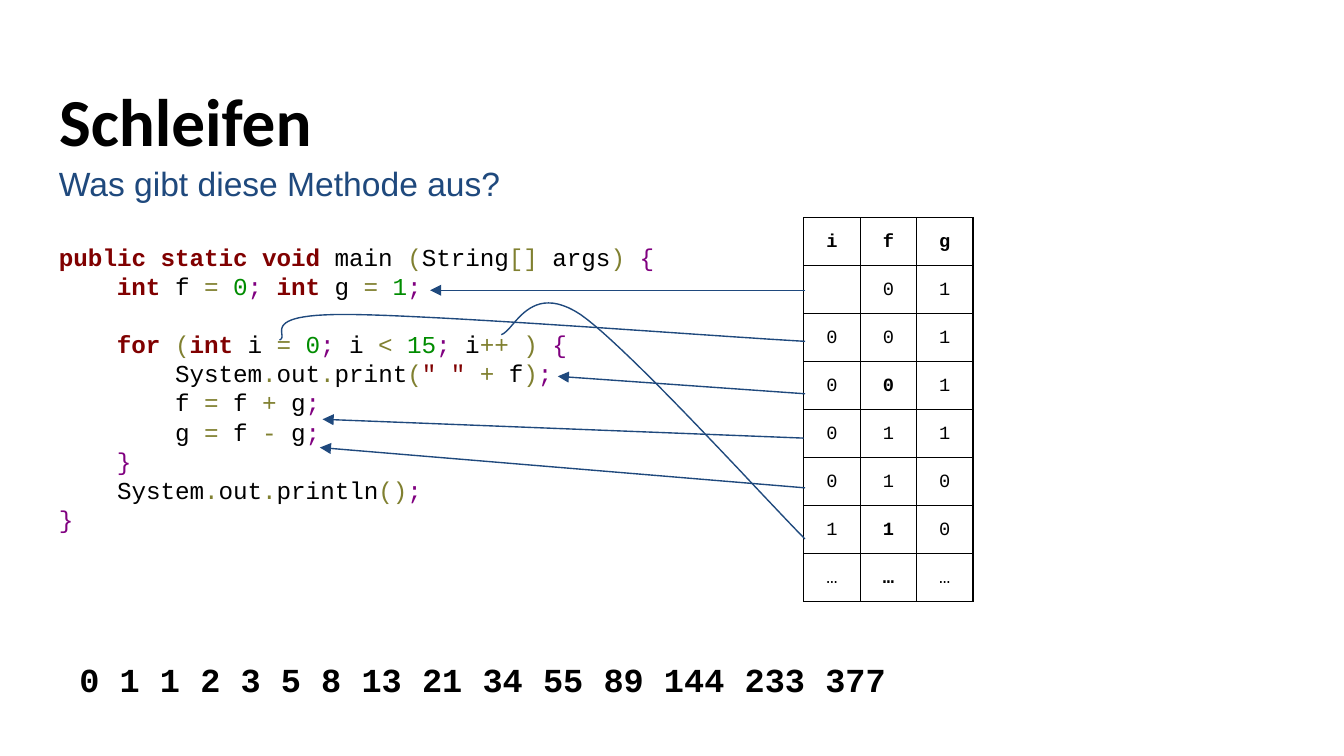
from itertools import groupby

from lxml import etree
from pptx import Presentation
from pptx.dml.color import RGBColor
from pptx.enum.shapes import MSO_CONNECTOR
from pptx.enum.text import MSO_ANCHOR, PP_ALIGN
from pptx.oxml.ns import qn
from pptx.util import Inches, Pt

STRAIGHT = MSO_CONNECTOR.STRAIGHT
TOP, MIDDLE = MSO_ANCHOR.TOP, MSO_ANCHOR.MIDDLE
LEFT, CENTER = PP_ALIGN.LEFT, PP_ALIGN.CENTER

COLORS = {
    "black": "000000",
    "blue": "1F497D",
    "keyword": "800000",
    "quote": "800000",
    "operator": "808030",
    "separator": "800080",
    "number": "008C00",
    "word": "000000",
}
KEYWORDS = {"public", "static", "void", "int", "for"}


def format_text(shape, size, font_name, color, bold=False):
    """Set the frame and the font of a one-paragraph shape; return the paragraph."""
    frame = shape.text_frame
    frame.word_wrap = True
    frame.vertical_anchor = TOP
    frame.margin_left = frame.margin_right = Inches(0.1)
    frame.margin_top = frame.margin_bottom = Inches(0.1)
    paragraph = frame.paragraphs[0]
    paragraph.alignment = LEFT
    paragraph.font.size = Pt(size)
    paragraph.font.name = font_name
    paragraph.font.bold = bold
    paragraph.font.color.rgb = RGBColor.from_string(COLORS[color])
    return paragraph


def token_kind(character):
    if character.isdigit():
        return "number"
    if character in "()[]=<+-.":
        return "operator"
    if character in ";{}":
        return "separator"
    if character == '"':
        return "quote"
    return "space" if character == " " else "word"


presentation = Presentation()
presentation.slide_width = Inches(10)
presentation.slide_height = Inches(10) * 9 // 16
slide = presentation.slides.add_slide(presentation.slide_layouts[5])
shapes = slide.shapes

# Title and question
title = shapes.title
title.left, title.top = Inches(0.34), Inches(0.49)
title.width, title.height = Inches(9.32), Inches(0.63)
title.text_frame.text = "Schleifen"
format_text(title, 36, "Calibri", "black", bold=True)

question = shapes.add_textbox(Inches(0.34), Inches(1.11), Inches(9.32), Inches(0.43))
question.text_frame.text = "Was gibt diese Methode aus?"
format_text(question, 18, "Arial", "blue")

# Java code, coloured token by token
code_lines = """\
public static void main (String[] args) {
    int f = 0; int g = 1;

    for (int i = 0; i < 15; i++ ) {
        System.out.print(" " + f);
        f = f + g;
        g = f - g;
    }
    System.out.println();
}""".split("\n")
code_box = shapes.add_textbox(Inches(0.34), Inches(1.7), Inches(4.72), Inches(2.34))
paragraph = format_text(code_box, 13, "Courier New", "black")
for number, line in enumerate(code_lines):
    if number:
        paragraph.add_line_break()
    for kind, characters in groupby(line, token_kind):
        run = paragraph.add_run()
        run.text = "".join(characters)
        if run.text in KEYWORDS:
            kind = "keyword"
            run.font.bold = True
        if kind != "space":
            run.font.color.rgb = RGBColor.from_string(COLORS[kind])

# Trace table of the variables
trace = ["ifg", " 01", "001", "001", "011", "010", "110", "………"]
bold_cells = {(0, 0), (0, 1), (0, 2), (3, 1), (6, 1), (7, 1)}
table = shapes.add_table(
    len(trace), 3, Inches(5.98), Inches(1.62), Inches(1.26), Inches(0.28 * len(trace))
).table
for row, values in enumerate(trace):
    for column, value in enumerate(values):
        cell = table.cell(row, column)
        cell.text = value.strip()
        cell.fill.background()
        cell.vertical_anchor = MIDDLE
        cell.margin_left = cell.margin_right = cell.margin_top = Inches(0.1)
        cell.margin_bottom = Inches(0.09)
        paragraph = cell.text_frame.paragraphs[0]
        paragraph.alignment = CENTER
        paragraph.font.size = Pt(10)
        paragraph.font.name = "Courier New"
        paragraph.font.bold = (row, column) in bold_cells
        paragraph.font.color.rgb = RGBColor.from_string(COLORS["black"])
        properties = cell._tc.get_or_add_tcPr()
        for index, side in enumerate(("lnL", "lnR", "lnT", "lnB")):
            border = etree.Element(qn(f"a:{side}"), w=str(Pt(0.75)))
            fill = etree.SubElement(border, qn("a:solidFill"))
            etree.SubElement(fill, qn("a:srgbClr"), val=COLORS["black"])
            properties.insert(index, border)

# Arrows from the table rows to the statements
arrows = [
    (5.99, 2.16, 3.2, 2.16),
    (5.99, 2.93, 4.15, 2.8),
    (5.98, 3.26, 2.4, 3.12),
    (5.99, 3.63, 2.38, 3.33),
]
for ends in arrows:
    arrow = shapes.add_connector(STRAIGHT, *[Inches(value) for value in ends])
    arrow.line.color.rgb = RGBColor.from_string(COLORS["blue"])
    arrow.line.width = Pt(0.75)
    etree.SubElement(arrow.line._get_or_add_ln(), qn("a:tailEnd"), type="triangle")
    etree.SubElement(arrow._element.spPr, qn("a:effectLst"))

# Curves to the loop header, each made of two cubic Bézier segments
curves = [
    [(5.99, 2.54), (5.42, 2.51), (3.21, 2.34), (2.56, 2.34),
     (1.91, 2.34), (2.16, 2.5), (2.08, 2.53)],
    [(5.99, 4.01), (5.71, 3.73), (4.69, 2.6), (4.32, 2.34),
     (3.94, 2.09), (3.83, 2.46), (3.73, 2.49)],
]
STEPS = 24
for controls in curves:
    points = []
    for first in (0, 3):
        segment = controls[first:first + 4]
        for step in range(1, STEPS + 1):
            t = step / STEPS
            weights = ((1 - t) ** 3, 3 * t * (1 - t) ** 2, 3 * t**2 * (1 - t), t**3)
            points.append(tuple(
                Inches(sum(weight * point[axis] for weight, point in zip(weights, segment)))
                for axis in (0, 1)
            ))
    start_x, start_y = controls[0]
    builder = shapes.build_freeform(Inches(start_x), Inches(start_y))
    builder.add_line_segments(points, close=False)
    curve = builder.convert_to_shape()
    curve.shadow.inherit = False
    curve.fill.background()
    curve.line.color.rgb = RGBColor.from_string(COLORS["blue"])
    curve.line.width = Pt(0.75)

# Program output
output = shapes.add_textbox(Inches(0.34), Inches(4.8), Inches(6.58), Inches(0.52))
output.text_frame.text = "0 1 1 2 3 5 8 13 21 34 55 89 144 233 377"
format_text(output, 18, "Courier New", "black", bold=True)
output.text_frame.margin_left = Inches(0.25)

presentation.save("out.pptx")
